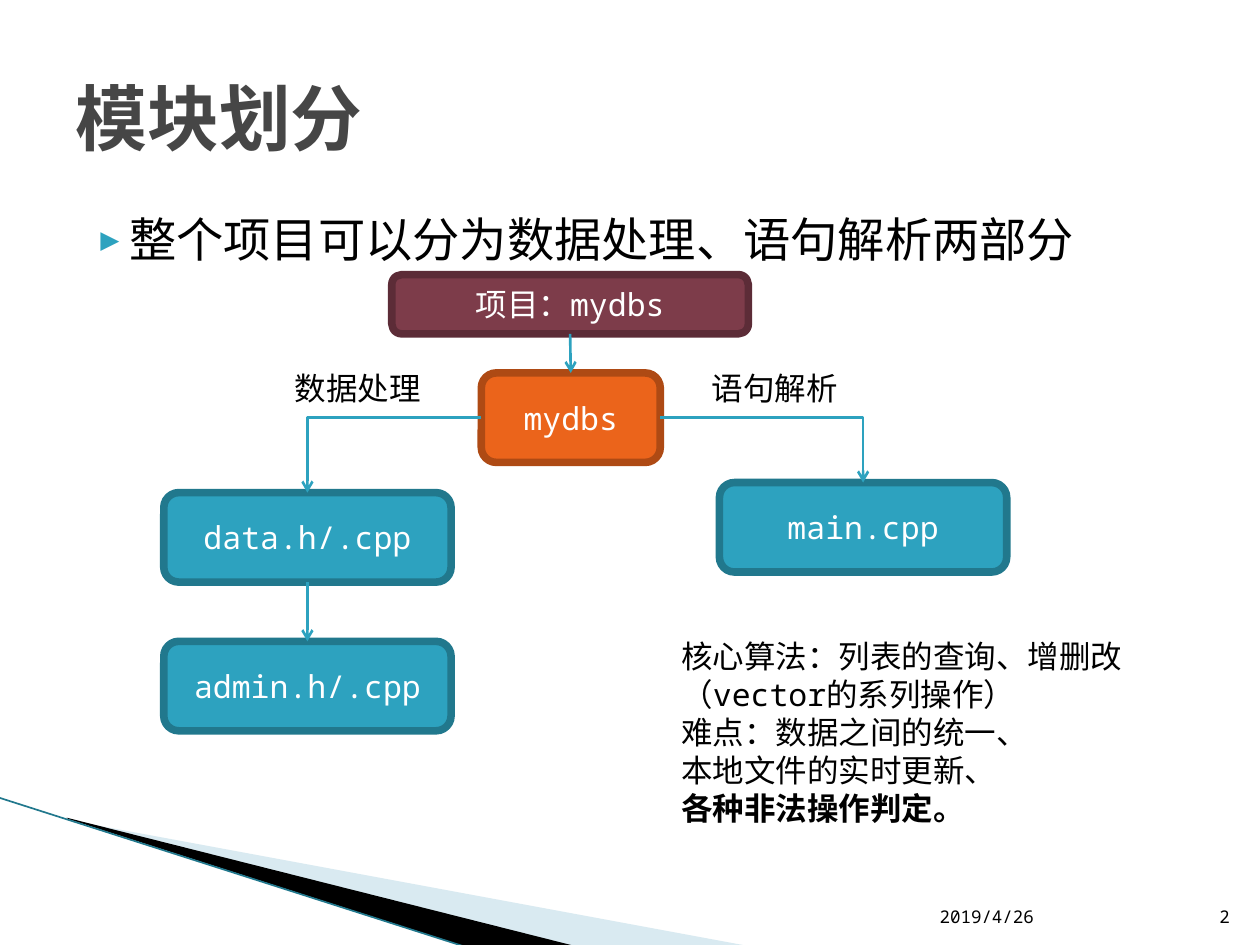
from lxml import etree
from pptx import Presentation
from pptx import util as u
from pptx.dml.color import RGBColor
from pptx.enum import shapes, text
from pptx.oxml import ns

TEAL, TEAL_DARK = "2DA2BF", "21788D"
TOP, LEFT, BOTTOM, RIGHT = range(4)  # connection sites of a rectangle


def color(value):
    """Turn a hex string into a colour."""
    return RGBColor.from_string(value)


def add_xml(parent, tag, **attributes):
    """Append a DrawingML element to parent."""
    return etree.SubElement(parent, ns.qn(tag), **attributes)


def inches(values):
    """Convert a sequence of numbers to lengths."""
    return [u.Inches(value) for value in values]


class SlideBuilder:
    """Holds the style and the current slide."""

    font = "Noto Sans Mono"
    size = 18

    def __init__(self, page):
        self.page = page

    def format(self, paragraph, size=None, fill="000000", bold=False, align=None):
        """Apply the text style to every run of a paragraph."""
        paragraph.alignment = align
        for span in paragraph.runs:
            span.font.name = self.font
            span.font.size = u.Pt(size or self.size)
            span.font.bold = bold
            span.font.color.rgb = color(fill)
            add_xml(span.font._element, "a:ea", typeface=self.font)

    def placeholder(self, index, words, area, anchor, **style):
        """Fill, move and format a layout placeholder."""
        box = self.page.placeholders[index]
        box.left, box.top, box.width, box.height = inches(area)
        frame = box.text_frame
        frame.text = words
        frame.auto_size = text.MSO_AUTO_SIZE.NONE
        frame.vertical_anchor = anchor
        paragraph = frame.paragraphs[0]
        self.format(paragraph, align=text.PP_ALIGN.LEFT, **style)
        return paragraph

    def bullet(self, paragraph):
        """Give a paragraph a hanging triangle bullet."""
        paragraph.space_before = u.Pt(4)
        properties = paragraph._p.get_or_add_pPr()
        properties.set("marL", str(u.Inches(0.4)))
        properties.set("indent", str(u.Inches(-0.28)))
        add_xml(add_xml(properties, "a:buClr"), "a:srgbClr", val=TEAL)
        add_xml(properties, "a:buSzPct", val="68000")
        add_xml(properties, "a:buFont", typeface=self.font)
        add_xml(properties, "a:buChar", char="▶")

    def label(self, words, area, wrap=False, anchor=text.MSO_ANCHOR.TOP,
              bold_last=False, **style):
        """Add a text box with one paragraph per line."""
        box = self.page.shapes.add_textbox(*inches(area))
        frame = box.text_frame
        frame.text = words
        frame.word_wrap = wrap
        frame.vertical_anchor = anchor
        if not wrap:
            frame.auto_size = text.MSO_AUTO_SIZE.SHAPE_TO_FIT_TEXT
        for paragraph in frame.paragraphs:
            self.format(paragraph, **style)
        if bold_last:
            for span in frame.paragraphs[-1].runs:
                span.font.bold = True

    def module(self, words, area, fill=TEAL, outline=TEAL_DARK):
        """Add a rounded box for one module."""
        box = self.page.shapes.add_shape(
            shapes.MSO_SHAPE.ROUNDED_RECTANGLE, *inches(area))
        box.shadow.inherit = False
        box.fill.solid()
        box.fill.fore_color.rgb = color(fill)
        box.line.color.rgb = color(outline)
        box.line.width = u.Pt(4.33)
        box.text_frame.text = words
        box.text_frame.vertical_anchor = text.MSO_ANCHOR.MIDDLE
        self.format(box.text_frame.paragraphs[0], fill="FFFFFF",
                    align=text.PP_ALIGN.CENTER)
        return box

    def line(self, points, kind=shapes.MSO_CONNECTOR.STRAIGHT, stroke=TEAL, width=1.5):
        """Add a plain connector without shadow."""
        connector = self.page.shapes.add_connector(kind, *inches(points))
        connector.line.color.rgb = color(stroke)
        connector.line.width = u.Pt(width)
        add_xml(connector._element.spPr, "a:effectLst")
        return connector

    def arrow(self, source, site, target):
        """Link a site of one box to the top of another."""
        bent = site != BOTTOM
        kind = shapes.MSO_CONNECTOR.ELBOW if bent else shapes.MSO_CONNECTOR.STRAIGHT
        connector = self.line((0, 0, 0, 0), kind)
        connector.begin_connect(source, site)
        connector.end_connect(target, TOP)
        if bent:
            connector._element.spPr.prstGeom.set("prst", "bentConnector2")
        add_xml(connector.line._get_or_add_ln(), "a:tailEnd", type="arrow")

    def wedge(self, points, fill, alpha=100):
        """Add a filled polygon without outline."""
        start, *others = [tuple(inches(point)) for point in points]
        builder = self.page.shapes.build_freeform(*start)
        builder.add_line_segments(others)
        shape = builder.convert_to_shape()
        shape.shadow.inherit = False
        shape.fill.solid()
        shape.fill.fore_color.rgb = color(fill)
        shape.line.fill.background()
        if alpha < 100:
            tint = shape._element.spPr.find(".//" + ns.qn("a:srgbClr"))
            add_xml(tint, "a:alpha", val=str(alpha * 1000))


def main():
    """Build the module overview slide."""
    deck = Presentation()
    deck.slide_width, deck.slide_height = inches((10, 7.5))
    slide = SlideBuilder(deck.slides.add_slide(deck.slide_layouts[1]))

    slide.wedge([(0.55, 6.51), (5.95, 7.51), (4.56, 7.51), (0.55, 6.5)], "A0CBDC", 40)
    slide.wedge([(0.53, 6.49), (4.57, 7.51), (3.72, 7.52), (0.54, 6.5)], "000000")
    slide.line((-0.01, 6.33, 3.71, 7.52), stroke=TEAL_DARK, width=0.95)

    slide.placeholder(0, "模块划分", (0.5, 0.3, 9, 1.25), text.MSO_ANCHOR.MIDDLE,
                      size=41, fill="464646", bold=True)
    slide.bullet(slide.placeholder(
        1, "整个项目可以分为数据处理、语句解析两部分", (0.5, 1.62, 9, 4.95),
        text.MSO_ANCHOR.TOP, size=27))

    footer = dict(wrap=True, anchor=text.MSO_ANCHOR.BOTTOM, size=10)
    slide.label("2019/4/26", (7.36, 7.01, 2.1, 0.4), **footer)
    slide.label("2", (9.46, 7.01, 0.4, 0.4), align=text.PP_ALIGN.RIGHT, **footer)

    project = slide.module("项目：mydbs", (3.11, 2.18, 2.83, 0.47), "7D3C4A", "5C2C37")
    core = slide.module("mydbs", (3.82, 2.96, 1.42, 0.71), "EB641B", "AE4A14")
    data, admin, entry = [
        slide.module(words, (left, top, 2.28, 0.71))
        for words, left, top in (("data.h/.cpp", 1.3, 3.91),
                                 ("admin.h/.cpp", 1.3, 5.09),
                                 ("main.cpp", 5.71, 3.83))]

    for source, site, target in ((project, BOTTOM, core), (core, LEFT, data),
                                 (core, RIGHT, entry), (data, BOTTOM, admin)):
        slide.arrow(source, site, target)

    for words, left in (("数据处理", 2.24), ("语句解析", 5.55)):
        slide.label(words, (left, 2.88, 1.21, 0.4))
    slide.label("核心算法：列表的查询、增删改\n（vector的系列操作）\n难点：数据之间的统一、\n"
                "本地文件的实时更新、\n各种非法操作判定。",
                (5.31, 5.01, 3.74, 1.62), bold_last=True)

    deck.save("out.pptx")


main()
